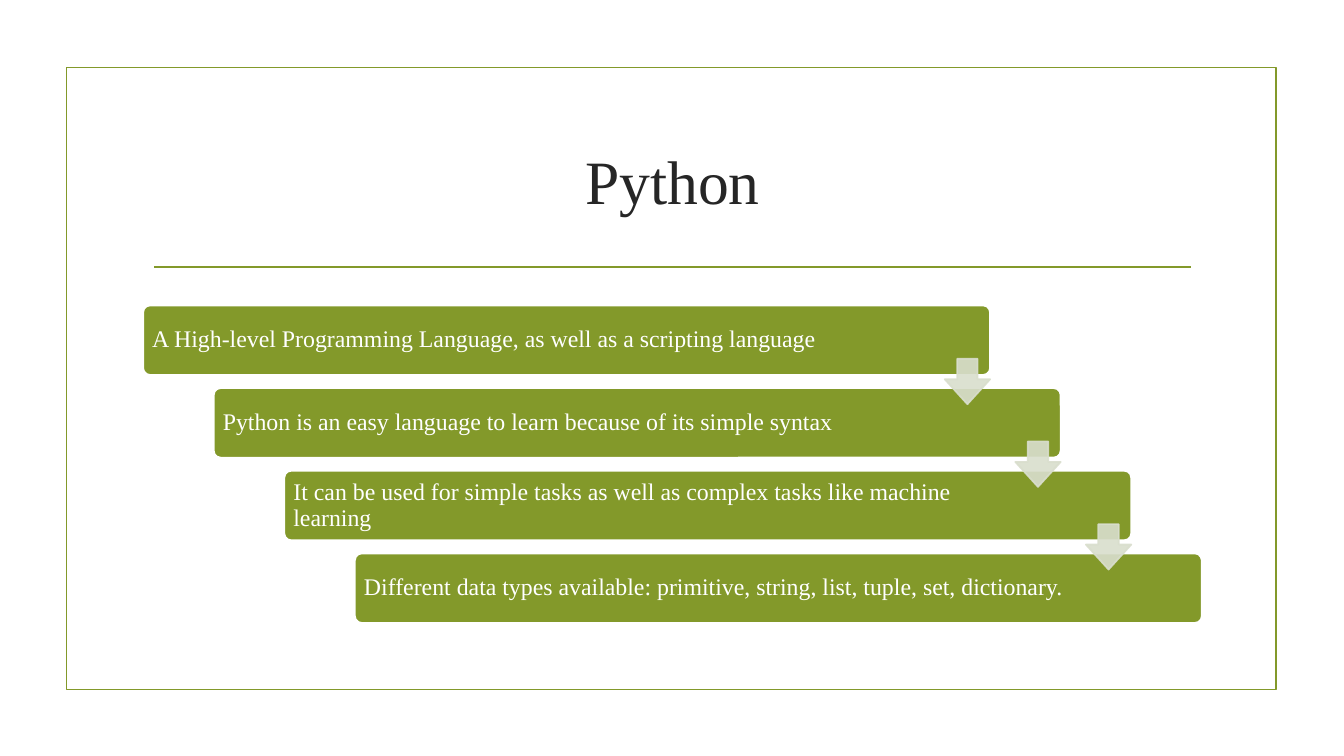
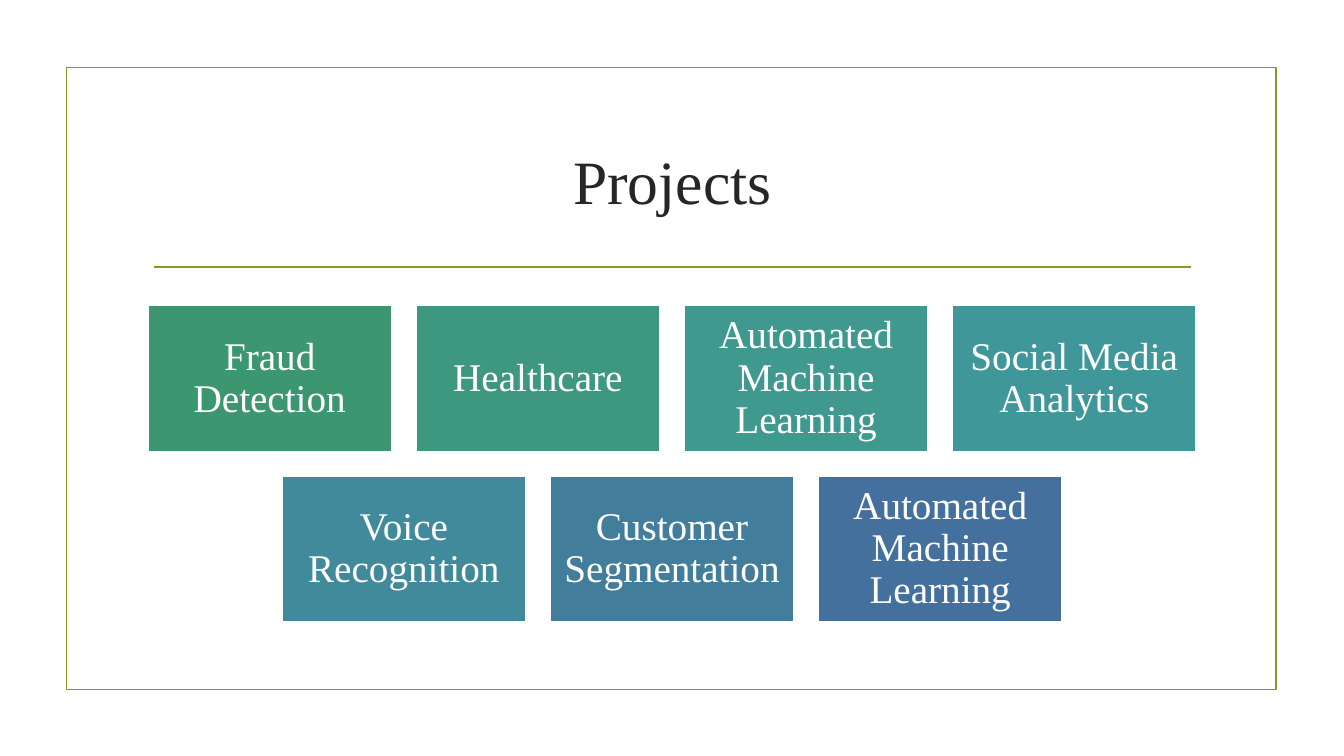
"""Build two framed slides: a Python staircase and a grid of projects."""
from lxml.etree import SubElement
from pptx import Presentation
from pptx.dml.color import RGBColor
from pptx.enum.shapes import MSO_CONNECTOR as Connector, MSO_SHAPE as Shape
from pptx.enum.text import MSO_ANCHOR as Anchor, PP_ALIGN as Align
from pptx.oxml.ns import qn
from pptx.util import Inches, Pt

FONT = "Times New Roman"
GREEN = RGBColor(0x83, 0x99, 0x2A)
INK = RGBColor(0x26, 0x26, 0x26)
WHITE = RGBColor(0xFF, 0xFF, 0xFF)
PALE = RGBColor(0xD9, 0xDE, 0xCD)
LINE_WIDTH = Pt(1.25)
SLIDE_WIDTH = 13.33
CONTENT_TOP = 3.03

STEPS = (
    "A High-level Programming Language, as well as a scripting language",
    "Python is an easy language to learn because of its simple syntax",
    "It can be used for simple tasks as well as complex tasks like machine learning",
    "Different data types available: primitive, string, list, tuple, set, dictionary.",
)
PROJECT_ROWS = (
    (
        ("Fraud Detection", RGBColor(0x3C, 0x97, 0x70)),
        ("Healthcare", RGBColor(0x3D, 0x98, 0x7F)),
        ("Automated Machine Learning", RGBColor(0x3F, 0x99, 0x8E)),
        ("Social Media Analytics", RGBColor(0x40, 0x97, 0x9A)),
    ),
    (
        ("Voice Recognition", RGBColor(0x41, 0x8A, 0x9B)),
        ("Customer Segmentation", RGBColor(0x43, 0x7D, 0x9C)),
        ("Automated Machine Learning", RGBColor(0x44, 0x70, 0x9D)),
    ),
)


def add_box(page, kind, left, top, width, height, fill=None, line=WHITE):
    box = page.shapes.add_shape(
        kind, Inches(left), Inches(top), Inches(width), Inches(height)
    )
    box.shadow.inherit = False
    if fill is None:
        box.fill.background()
    else:
        box.fill.solid()
        box.fill.fore_color.rgb = fill
    box.line.color.rgb = line
    box.line.width = LINE_WIDTH
    return box


def write(box, text, size, color=WHITE, align=Align.CENTER, spacing=0.9, inset=0.12):
    frame = box.text_frame
    frame.word_wrap = True
    frame.vertical_anchor = Anchor.MIDDLE
    frame.margin_left = frame.margin_right = Inches(inset)
    frame.margin_top = frame.margin_bottom = Inches(inset)
    para = frame.paragraphs[0]
    para.text = text
    para.alignment = align
    para.line_spacing = spacing
    para.font.name = FONT
    para.font.size = Pt(size)
    para.font.color.rgb = color


def set_opacity(box, percent):
    for color in box.element.spPr.iter(qn("a:srgbClr")):
        SubElement(color, qn("a:alpha"), val=str(percent * 1000))


def add_rule(page, left, right, top):
    rule = page.shapes.add_connector(
        Connector.STRAIGHT, Inches(left), Inches(top), Inches(right), Inches(top)
    )
    rule.line.color.rgb = GREEN
    rule.line.width = LINE_WIDTH
    SubElement(rule.element.spPr, qn("a:effectLst"))


def add_page(deck, title):
    page = deck.slides.add_slide(deck.slide_layouts[6])
    add_box(page, Shape.RECTANGLE, 0.66, 0.67, 12, 6.17, line=GREEN)
    add_rule(page, 1.53, 11.81, 2.65)
    heading = page.shapes.add_textbox(
        Inches(1.42), Inches(1.07), Inches(10.5), Inches(1.43)
    )
    write(heading, title, 44, INK, spacing=1.0, inset=0.1)
    return page


def add_staircase(page, steps):
    width, height, arrow_size = 8.4, 0.69, 0.45
    corners = [(1.42 + 0.7 * i, CONTENT_TOP + 0.82 * i) for i in range(len(steps))]
    for text, (left, top) in zip(steps, corners):
        box = add_box(page, Shape.ROUNDED_RECTANGLE, left, top, width, height, GREEN)
        box.adjustments[0] = 0.1
        write(box, text, 17, align=Align.LEFT, inset=0.07)
        box.text_frame.margin_right = Inches(1.22)
    for left, top in corners[:-1]:
        arrow = add_box(
            page, Shape.DOWN_ARROW, left + width - arrow_size, top + 0.53,
            arrow_size, arrow_size, PALE, PALE,
        )
        arrow.adjustments[0] = 0.45
        arrow.adjustments[1] = 0.55
        set_opacity(arrow, 90)


def add_tiles(page, rows):
    width, height, gap = 2.42, 1.45, 0.24
    for row_index, row in enumerate(rows):
        row_width = len(row) * (width + gap) - gap
        start = (SLIDE_WIDTH - row_width) / 2
        top = CONTENT_TOP + row_index * (height + gap)
        for column, (text, color) in enumerate(row):
            left = start + column * (width + gap)
            tile = add_box(page, Shape.RECTANGLE, left, top, width, height, color)
            write(tile, text, 28)


def main():
    deck = Presentation()
    deck.slide_width = Inches(SLIDE_WIDTH)
    deck.slide_height = Inches(7.5)
    add_staircase(add_page(deck, "Python"), STEPS)
    add_tiles(add_page(deck, "Projects"), PROJECT_ROWS)
    deck.save("out.pptx")


if __name__ == "__main__":
    main()
